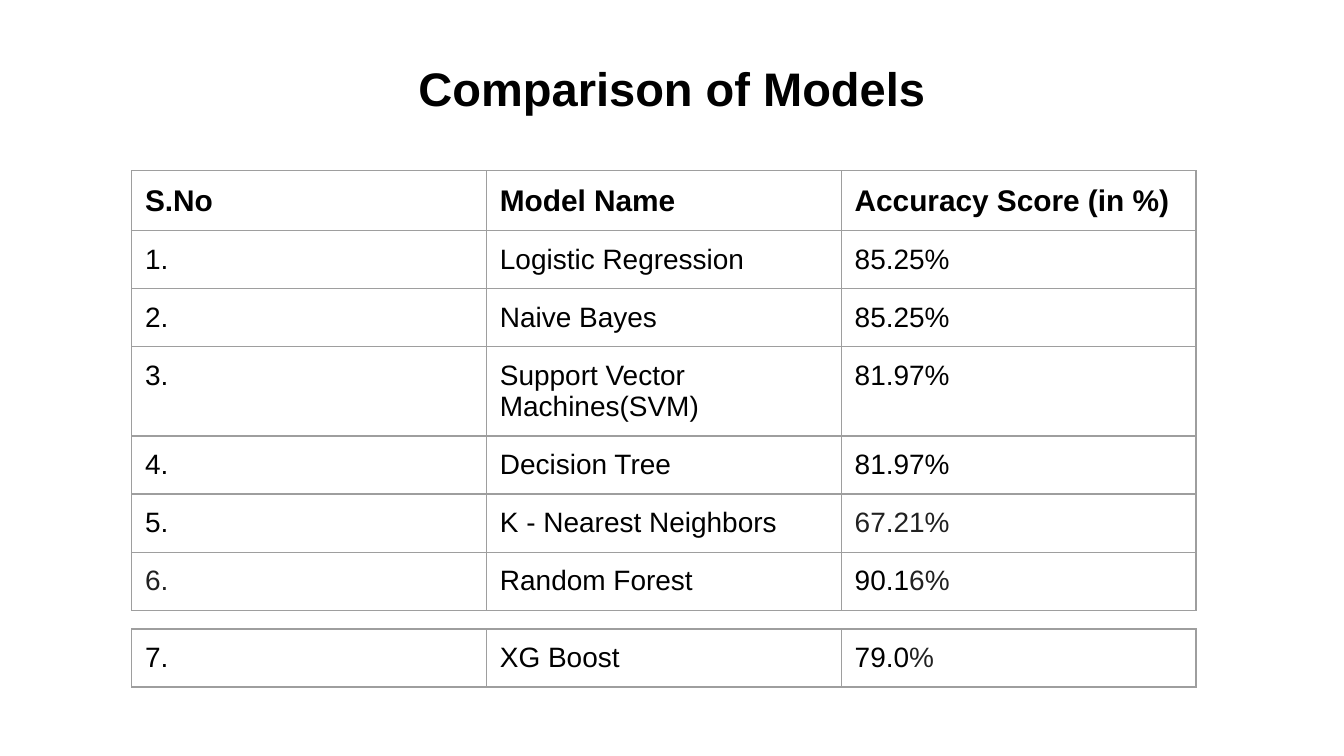
from dataclasses import dataclass

from lxml import etree
from pptx import Presentation
from pptx.dml.color import RGBColor
from pptx.enum.text import MSO_ANCHOR, MSO_AUTO_SIZE, PP_ALIGN
from pptx.oxml.ns import qn
from pptx.util import Inches, Pt

TOP, NO_FIT, CENTER = MSO_ANCHOR.TOP, MSO_AUTO_SIZE.NONE, PP_ALIGN.CENTER

BLACK = RGBColor(0x00, 0x00, 0x00)
CHARCOAL = RGBColor(0x21, 0x21, 0x21)
GRAY = RGBColor(0x9E, 0x9E, 0x9E)
WHITE = RGBColor(0xFF, 0xFF, 0xFF)

FONT = "Arial"
LEFT, COL_W, ROW_H, INSET = 0.98, 2.64, 0.42, 0.1
BORDER_PT = 0.75


@dataclass
class Cell:
    text: str = ""
    tail: str = ""  # continues the text in charcoal
    size: float = 15
    bold: bool = False


def header(text: str) -> Cell:
    return Cell(text, size=16, bold=True)


def format_run(r, size: float, color: RGBColor, bold: bool) -> None:
    r.font.name = FONT
    r.font.size = Pt(size)
    r.font.bold = bold
    r.font.color.rgb = color


def set_insets(box) -> None:
    box.margin_left = box.margin_right = Inches(INSET)
    box.margin_top = box.margin_bottom = Inches(INSET)


def add_borders(cell) -> None:
    tc_pr = cell._tc.get_or_add_tcPr()
    for side in ("a:lnL", "a:lnR", "a:lnT", "a:lnB"):
        ln = etree.SubElement(tc_pr, qn(side), w=str(Pt(BORDER_PT)))
        fill = etree.SubElement(ln, qn("a:solidFill"))
        etree.SubElement(fill, qn("a:srgbClr"), val=str(GRAY))


def fill_cell(cell, content: Cell) -> None:
    set_insets(cell)
    cell.vertical_anchor = TOP
    add_borders(cell)
    cell.fill.solid()
    cell.fill.fore_color.rgb = WHITE
    p = cell.text_frame.paragraphs[0]
    for text, color in ((content.text, BLACK), (content.tail, CHARCOAL)):
        if text:
            r = p.add_run()
            r.text = text
            format_run(r, content.size, color, content.bold)


def add_grid(s, top: float, rows: list[list[Cell]]) -> None:
    n = len(rows[0])
    table = s.shapes.add_table(len(rows), n, Inches(LEFT), Inches(top),
                               Inches(n * COL_W), Inches(len(rows) * ROW_H)).table
    table.first_row = table.horz_banding = False
    for col in table.columns:
        col.width = Inches(COL_W)
    for i, row in enumerate(rows):
        table.rows[i].height = Inches(ROW_H)
        for j, content in enumerate(row):
            fill_cell(table.cell(i, j), content)


MODELS = [
    [header("S.No"), header("Model Name"), header("Accuracy Score (in %)")],
    [Cell("1."), Cell("Logistic Regression"), Cell("85.25%")],
    [Cell("2."), Cell("Naive Bayes"), Cell("85.25%")],
    [Cell("3."), Cell("Support Vector Machines(SVM)"), Cell("81.97%")],
    [Cell("4."), Cell("Decision Tree"), Cell("81.97%")],
    [Cell("5."), Cell("K - Nearest Neighbors"), Cell(tail="67.21%")],
    [Cell(tail="6."), Cell("Random Forest"), Cell("90.1", "6%")],
]
LAST_MODEL = [[Cell("7."), Cell("XG Boost"), Cell("79.0", "%")]]


def main() -> None:
    prs = Presentation()
    # Widescreen, 16:9
    prs.slide_width, prs.slide_height = Inches(10), Inches(10 * 9 / 16)
    s = prs.slides.add_slide(prs.slide_layouts[5])

    # Title
    title = s.shapes.title
    title.left, title.top = Inches(0.34), Inches(0.34)
    title.width, title.height = Inches(9.32), Inches(0.63)
    tf = title.text_frame
    tf.text = "Comparison of Models"
    tf.auto_size, tf.vertical_anchor, tf.word_wrap = NO_FIT, TOP, True
    set_insets(tf)
    p = tf.paragraphs[0]
    p.alignment = CENTER
    format_run(p.runs[0], 25.2, BLACK, True)

    # Accuracy tables
    add_grid(s, 1.27, MODELS)
    add_grid(s, 4.68, LAST_MODEL)

    prs.save("out.pptx")


if __name__ == "__main__":
    main()
